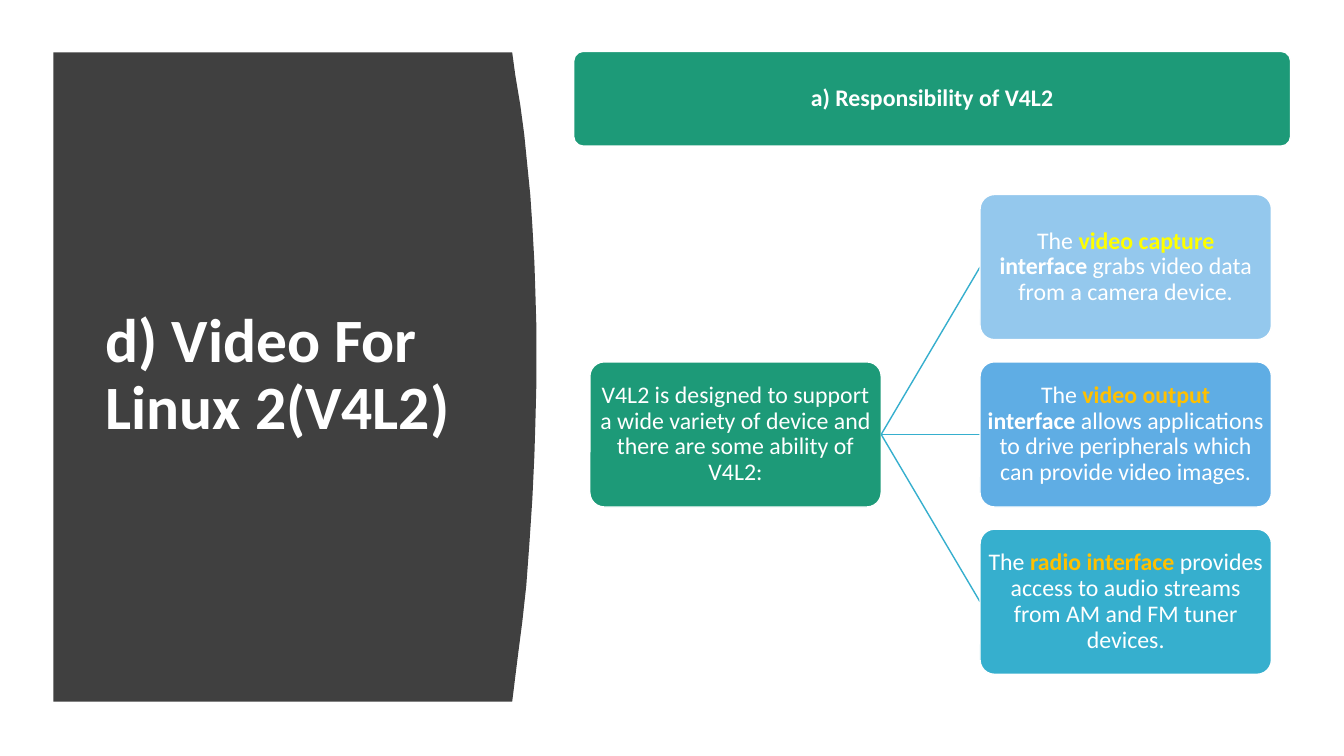
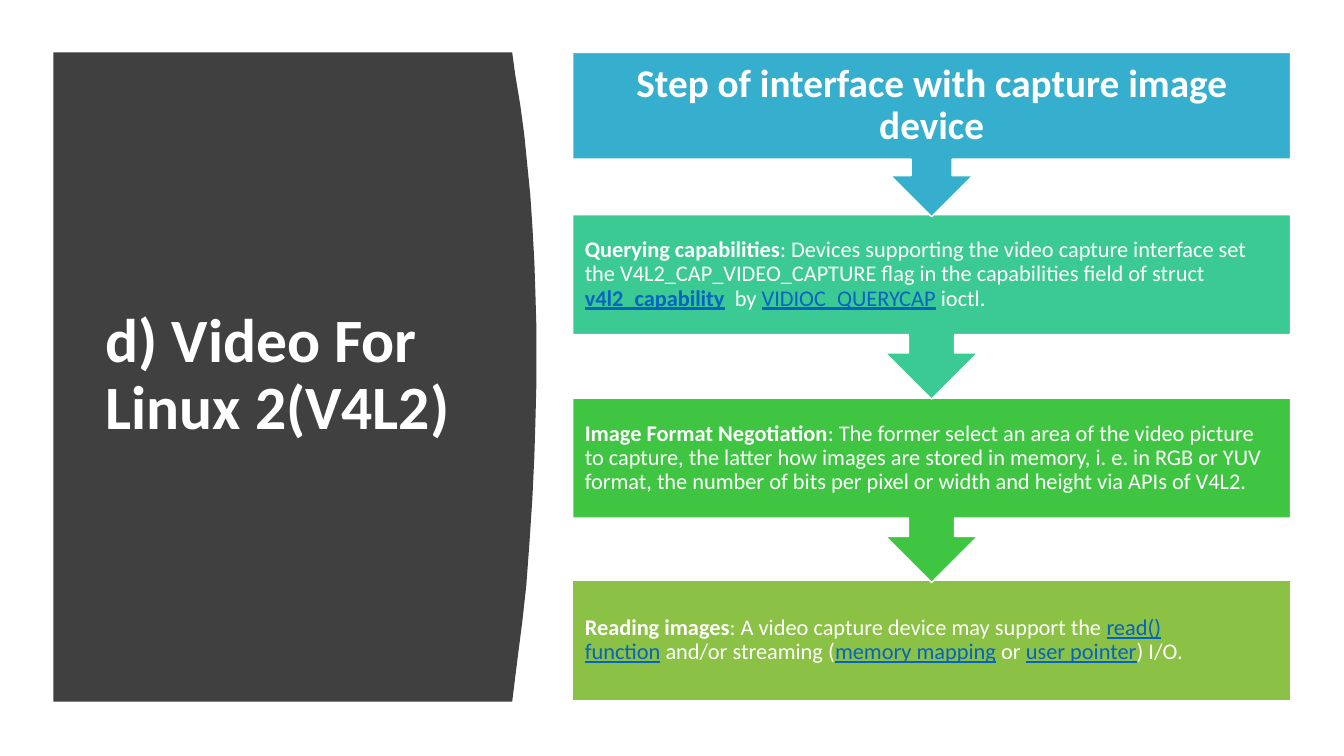
import lxml.etree
import pptx
import pptx.dml.color
import pptx.enum.shapes
import pptx.enum.text
import pptx.oxml.ns
import pptx.util

Inches = pptx.util.Inches
RGB = pptx.dml.color.RGBColor
KIND = pptx.enum.shapes.MSO_SHAPE
ALIGN = pptx.enum.text.PP_ALIGN

WHITE = RGB(0xFF, 0xFF, 0xFF)
GREY = RGB(0x40, 0x40, 0x40)
TEAL = RGB(0x1D, 0x9A, 0x78)
CYAN = RGB(0x36, 0xAF, 0xCE)
PALE = RGB(0x94, 0xC8, 0xED)
BLUE = RGB(0x5F, 0xAD, 0xE4)
MINT = RGB(0x3B, 0xCA, 0x93)
GREEN = RGB(0x40, 0xC5, 0x43)
OLIVE = RGB(0x8B, 0xC1, 0x45)
LINK = RGB(0x05, 0x63, 0xC1)
YELLOW = RGB(0xFF, 0xFF, 0x00)
GOLD = RGB(0xFF, 0xC0, 0x00)

HARD = chr(160)
TITLE = "d) Video For Linux 2(V4L2)"
CURVE = [
    (5.08, 0.52), (5.11, 0.74), (5.16, 1.04), (5.2, 1.34), (5.23, 1.64),
    (5.26, 1.94), (5.28, 2.24), (5.3, 2.6), (5.31, 2.9), (5.32, 3.25),
    (5.32, 3.8), (5.31, 4.2), (5.3, 4.52), (5.28, 4.95), (5.25, 5.4),
    (5.22, 5.81), (5.18, 6.17), (5.14, 6.48), (5.11, 6.72), (5.08, 6.96),
]


def write(frame, text, size=17, bold=False, align=ALIGN.CENTER,
          inset=0.01, right=None):
    frame.word_wrap = True
    frame.vertical_anchor = pptx.enum.text.MSO_ANCHOR.MIDDLE
    frame.margin_left = frame.margin_top = Inches(inset)
    frame.margin_bottom = Inches(inset)
    frame.margin_right = Inches(right or inset)
    para = frame.paragraphs[0]
    para.alignment = align
    para.line_spacing = 0.9
    for part in [text] if isinstance(text, str) else text:
        words, look = (part, {}) if isinstance(part, str) else part
        run = para.add_run()
        run.text = words
        font = run.font
        font.name = "Calibri"
        font.size = pptx.util.Pt(size)
        font.bold = look.get("bold", bold)
        font.underline = look.get("line", False)
        font.color.rgb = look.get("color", WHITE)


class Deck:
    def __init__(self):
        self.show = pptx.Presentation()
        self.show.slide_width = Inches(13.33)
        self.show.slide_height = Inches(7.5)
        self.slide = None

    def page(self, title):
        self.slide = self.show.slides.add_slide(self.show.slide_layouts[6])
        self.panel()
        area = self.slide.shapes.add_textbox(
            Inches(0.95), Inches(1.11), Inches(3.74), Inches(5.24))
        write(area.text_frame, title, size=44, bold=True,
              align=ALIGN.LEFT, inset=0.1)

    def panel(self):
        edge = [(Inches(x), Inches(y)) for x, y in CURVE + [(0.53, 6.96)]]
        pen = self.slide.shapes.build_freeform(Inches(0.53), Inches(0.52))
        pen.add_line_segments(edge, close=True)
        shape = pen.convert_to_shape()
        shape.shadow.inherit = False
        shape.fill.solid()
        shape.fill.fore_color.rgb = GREY
        shape.line.fill.background()

    def box(self, kind, left, top, width, height, fill, text, **style):
        shape = self.slide.shapes.add_shape(
            kind, Inches(left), Inches(top), Inches(width), Inches(height))
        shape.shadow.inherit = False
        shape.fill.solid()
        shape.fill.fore_color.rgb = fill
        shape.line.color.rgb = WHITE
        shape.line.width = pptx.util.Pt(1)
        if kind == KIND.ROUNDED_RECTANGLE:
            shape.adjustments[0] = 0.1
        write(shape.text_frame, text, **style)

    def link(self, left, top, right, base):
        line = self.slide.shapes.add_connector(
            pptx.enum.shapes.MSO_CONNECTOR.STRAIGHT,
            Inches(left), Inches(top), Inches(right), Inches(base))
        line.line.color.rgb = CYAN
        line.line.width = pptx.util.Pt(1)
        lxml.etree.SubElement(
            line._element.spPr, pptx.oxml.ns.qn("a:effectLst"))


def duties(deck):
    deck.page(TITLE)
    kind = KIND.ROUNDED_RECTANGLE
    wide, high, step = 2.89, 1.44, 1.66
    root, leaf, first = 5.85, 9.72, 1.93
    middle = first + step
    deck.box(kind, 5.69, 0.51, 7.11, 0.94, TEAL,
             "a) Responsibility of V4L2", bold=True)
    deck.box(kind, root, middle, wide, high, TEAL,
             "V4L2 is designed to support a wide variety of device "
             "and there are some ability of V4L2:")
    strong = {"bold": True}
    gold = {"bold": True, "color": GOLD}
    the = "The" + HARD
    items = [
        (PALE, [the, ("video capture ", {"bold": True, "color": YELLOW}),
                ("interface", strong),
                HARD + "grabs video data from a camera device."]),
        (BLUE, [the, ("video output ", gold), ("interface", strong),
                HARD + "allows applications to drive peripherals "
                "which can provide video images."]),
        (CYAN, [the, ("radio interface", gold),
                HARD + "provides access to audio streams "
                "from AM and FM tuner devices."]),
    ]
    for rank, (fill, text) in enumerate(items):
        top = first + rank * step
        deck.link(root + wide, middle + high / 2, leaf, top + high / 2)
        deck.box(kind, leaf, top, wide, high, fill, text)


def steps(deck):
    deck.page(TITLE)
    left, wide = 5.68, 7.12
    arrow = KIND.DOWN_ARROW_CALLOUT
    strong = {"bold": True}
    link = {"color": LINK, "line": True}
    body = {"size": 16, "align": ALIGN.LEFT, "inset": 0.12, "right": 0.14}
    items = [
        (KIND.RECTANGLE, 5.76, 1.19, OLIVE, [
            ("Reading images", strong),
            ": A video capture device may support the" + HARD,
            ("read() function", link), HARD + "and/or streaming (",
            ("memory mapping", link), HARD + "or" + HARD,
            ("user pointer", link), ") I/O."]),
        (arrow, 3.95, 1.83, GREEN, [
            ("Image Format Negotiation", strong),
            ": The former select an area of the video picture to capture, "
            "the latter how images are stored in memory, i. e. in RGB or YUV "
            "format, the number of bits per pixel or width and height "
            "via APIs of V4L2."]),
        (arrow, 2.13, 1.83, MINT, [
            ("Querying capabilities", strong),
            ": Devices supporting the video capture interface set the "
            "V4L2_CAP_VIDEO_CAPTURE" + HARD + "flag in the capabilities "
            "field of struct ",
            ("v4l2_capability", {**link, **strong}), HARD + " by ",
            ("VIDIOC_QUERYCAP", link), HARD + "ioctl."]),
    ]
    for kind, top, high, fill, text in items:
        deck.box(kind, left, top, wide, high, fill, text, **body)
    deck.box(arrow, left, 0.52, wide, 1.63, CYAN,
             "Step of interface with capture image device",
             size=28, bold=True, inset=0.22)


def main():
    deck = Deck()
    duties(deck)
    steps(deck)
    deck.show.save("out.pptx")


if __name__ == "__main__":
    main()
